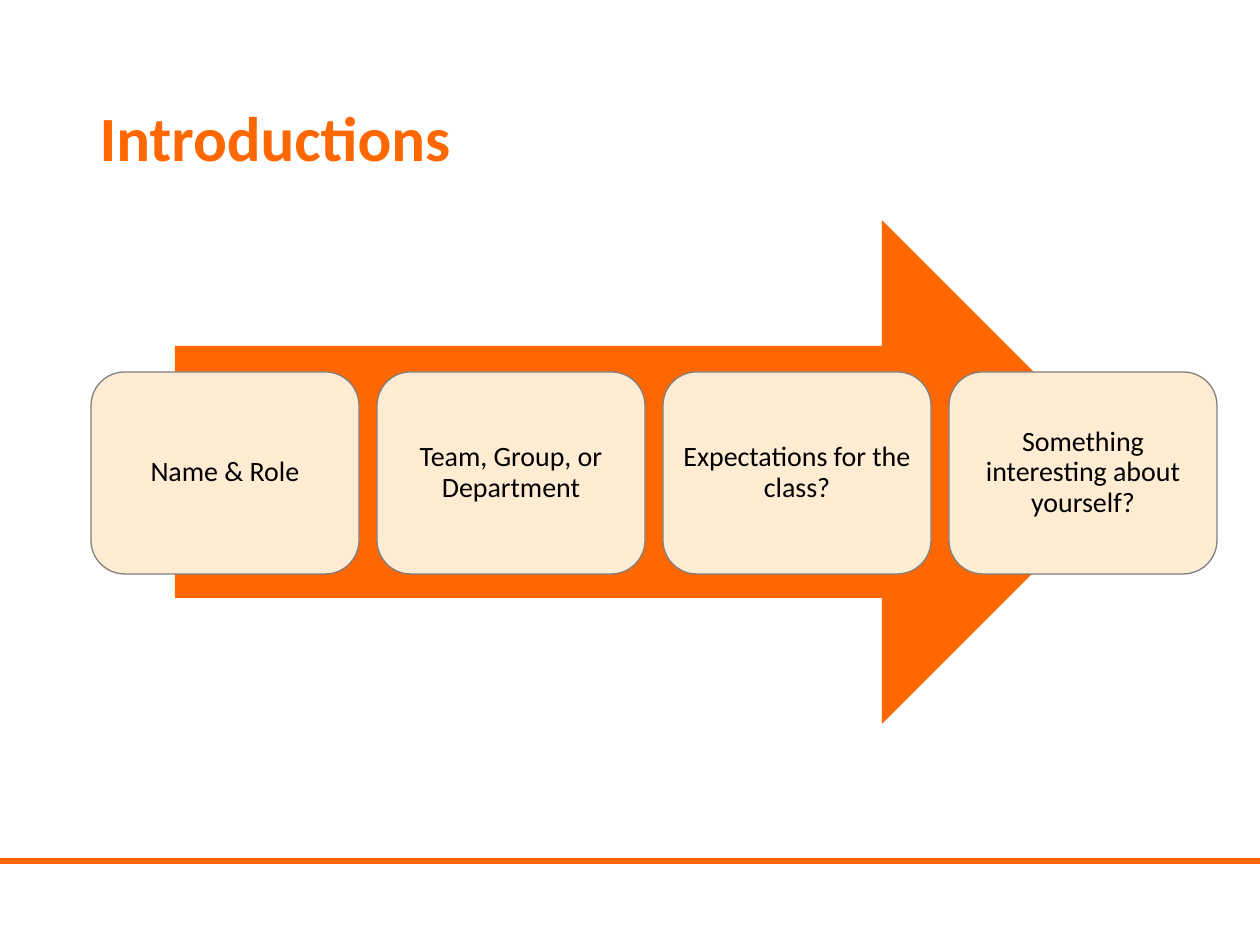
"""Build the Introductions slide: four topic cards across a wide arrow."""
from dataclasses import dataclass

from lxml.etree import SubElement
from pptx import Presentation
from pptx.dml.color import RGBColor
from pptx.enum.shapes import MSO_CONNECTOR, MSO_SHAPE
from pptx.enum.text import MSO_ANCHOR, PP_ALIGN
from pptx.oxml.ns import qn
from pptx.shapes.autoshape import Shape
from pptx.slide import Slide
from pptx.util import Emu, Pt

PIXELS_PER_INCH = 126
FONT = "Calibri"
COLORS = {"orange": "FF6700", "cream": "FFECD3", "gray": "808080", "black": "000000"}
TOPICS = [
    "Name & Role",
    "Team, Group, or Department",
    "Expectations for the class?",
    "Something interesting about yourself?",
]
CARD_PITCH = 286
CARD_INSET = 9


@dataclass(frozen=True)
class Box:
    """Position and size in px."""

    left: int
    top: int
    width: int
    height: int


SLIDE = Box(0, 0, 1260, 945)
TITLE = Box(87, 50, 1086, 183)
ARROW = Box(175, 220, 959, 504)
FIRST_CARD = Box(91, 372, 268, 202)
RULE_TOP = 861


def px(length: int) -> Emu:
    """Turn px into EMU."""
    return Emu(round(length * 914400 / PIXELS_PER_INCH))


def color(name: str) -> RGBColor:
    """Look up a named colour."""
    return RGBColor.from_string(COLORS[name])


def write_text(shape: Shape, text: str, size: int, ink: str, align: PP_ALIGN, bold: bool) -> None:
    """Fill a shape with one formatted paragraph."""
    frame = shape.text_frame
    frame.text = text
    frame.word_wrap = True
    frame.vertical_anchor = MSO_ANCHOR.MIDDLE
    para = frame.paragraphs[0]
    para.alignment = align
    para.line_spacing = 0.9
    para.font.name = FONT
    para.font.size = Pt(size)
    para.font.bold = bold
    para.font.color.rgb = color(ink)


def add_filled_shape(slide: Slide, kind: MSO_SHAPE, box: Box, fill: str) -> Shape:
    """Add a flat, borderless preset shape."""
    shape = slide.shapes.add_shape(kind, px(box.left), px(box.top), px(box.width), px(box.height))
    shape.shadow.inherit = False
    shape.fill.solid()
    shape.fill.fore_color.rgb = color(fill)
    shape.line.fill.background()
    return shape


def add_card(slide: Slide, box: Box, topic: str) -> None:
    """Add a rounded topic card."""
    card = add_filled_shape(slide, MSO_SHAPE.ROUNDED_RECTANGLE, box, "cream")
    card.line.color.rgb = color("gray")
    card.line.width = Pt(0.75)
    frame = card.text_frame
    frame.margin_left = frame.margin_right = px(CARD_INSET)
    frame.margin_top = frame.margin_bottom = px(CARD_INSET)
    write_text(card, topic, 16, "black", PP_ALIGN.CENTER, False)


def add_rule(slide: Slide) -> None:
    """Add the full-width footer rule."""
    rule = slide.shapes.add_connector(
        MSO_CONNECTOR.STRAIGHT, 0, px(RULE_TOP), px(SLIDE.width), px(RULE_TOP)
    )
    rule.line.color.rgb = color("orange")
    rule.line.width = Pt(3)
    SubElement(rule.element.spPr, qn("a:effectLst"))


def set_title(slide: Slide, text: str) -> None:
    """Place and format the title placeholder."""
    title = slide.shapes.title
    title.left, title.top = px(TITLE.left), px(TITLE.top)
    title.width, title.height = px(TITLE.width), px(TITLE.height)
    write_text(title, text, 36, "orange", PP_ALIGN.LEFT, True)


def main() -> None:
    """Build and save the deck."""
    deck = Presentation()
    deck.slide_width, deck.slide_height = px(SLIDE.width), px(SLIDE.height)
    page = deck.slides.add_slide(deck.slide_layouts.get_by_name("Title Only"))
    add_rule(page)
    set_title(page, "Introductions")
    add_filled_shape(page, MSO_SHAPE.RIGHT_ARROW, ARROW, "orange")
    for index, topic in enumerate(TOPICS):
        left = FIRST_CARD.left + index * CARD_PITCH
        add_card(page, Box(left, FIRST_CARD.top, FIRST_CARD.width, FIRST_CARD.height), topic)
    deck.save("out.pptx")


if __name__ == "__main__":
    main()
